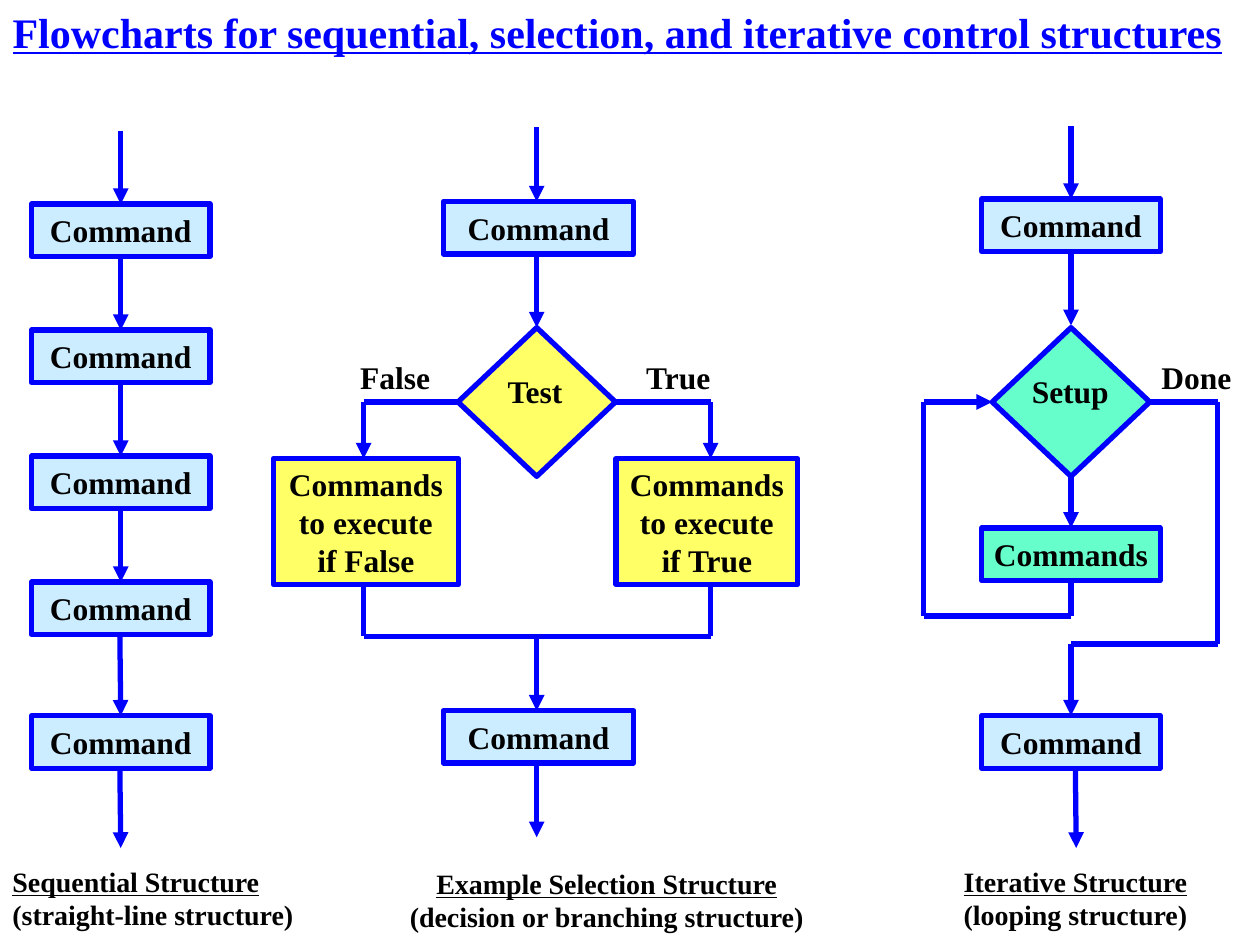
from typing import NamedTuple

from lxml.etree import SubElement
from pptx import Presentation
from pptx.dml.color import RGBColor
from pptx.enum.shapes import MSO_CONNECTOR, MSO_SHAPE
from pptx.enum.text import MSO_ANCHOR as ANCHOR, MSO_AUTO_SIZE, PP_ALIGN as ALIGN
from pptx.oxml.ns import qn
from pptx.util import Pt

BLUE = RGBColor(0x00, 0x00, 0xFF)
BLACK = RGBColor(0x00, 0x00, 0x00)
PALE_BLUE = RGBColor(0xCC, 0xEC, 0xFF)
YELLOW = RGBColor(0xFF, 0xFF, 0x66)
GREEN = RGBColor(0x66, 0xFF, 0xCC)
FONT = "Times New Roman"
STROKE = 3

SEQ_X, SEL_X, ITER_X = 69, 306.7, 612  # centre lines of the three charts
BOX_H, STEP = 30, 72
TEST_Y, TEST_W, TEST_H = 187.2, 90, 85
BRANCH_Y = 229.7
LAST_Y = 409


class Box(NamedTuple):
    x: float
    y: float
    w: float
    h: float
    fill: RGBColor
    text: str = ""
    kind: int = MSO_SHAPE.RECTANGLE


class Line(NamedTuple):
    x1: float
    y1: float
    x2: float
    y2: float
    arrow: bool = True


class Label(NamedTuple):
    x: float
    y: float
    w: float
    text: str
    h: float = 28.8
    size: int = 18
    align: int = ALIGN.LEFT
    heading: bool = False  # underline the first line


def set_text(tf, text: str, size: int, align: int, anchor: int,
             color: RGBColor = BLACK, heading: bool = False) -> None:
    tf.word_wrap = False
    tf.auto_size = MSO_AUTO_SIZE.NONE
    tf.vertical_anchor = anchor
    tf.text = text
    for i, p in enumerate(tf.paragraphs):
        p.alignment = align
        p.font.name, p.font.size, p.font.bold = FONT, Pt(size), True
        p.font.color.rgb = color
        p.font.underline = heading and i == 0


def draw_box(shapes, box: Box) -> None:
    sp = shapes.add_shape(box.kind, Pt(box.x), Pt(box.y), Pt(box.w), Pt(box.h))
    sp.shadow.inherit = False
    sp.fill.solid()
    sp.fill.fore_color.rgb = box.fill
    sp.line.color.rgb = BLUE
    sp.line.width = Pt(STROKE)
    if box.text:
        set_text(sp.text_frame, box.text, 18, ALIGN.CENTER, ANCHOR.MIDDLE)


def draw_line(shapes, line: Line) -> None:
    cxn = shapes.add_connector(MSO_CONNECTOR.STRAIGHT, Pt(line.x1), Pt(line.y1),
                               Pt(line.x2), Pt(line.y2))
    cxn.line.color.rgb = BLUE
    cxn.line.width = Pt(STROKE)
    if line.arrow:
        SubElement(cxn.line._get_or_add_ln(), qn("a:tailEnd"), type="triangle")
    SubElement(cxn._element.spPr, qn("a:effectLst"))


def draw_label(shapes, label: Label) -> None:
    sp = shapes.add_textbox(Pt(label.x), Pt(label.y), Pt(label.w), Pt(label.h))
    set_text(sp.text_frame, label.text, label.size, label.align, ANCHOR.TOP,
             heading=label.heading)


def command(center: float, y: float, w: float = 102,
            text: str = "Command", fill: RGBColor = PALE_BLUE) -> Box:
    return Box(center - w / 2, y, w, BOX_H, fill, text)


def decision(center: float, fill: RGBColor) -> Box:
    return Box(center - TEST_W / 2, TEST_Y, TEST_W, TEST_H, fill, kind=MSO_SHAPE.DIAMOND)


def caption(x: float, y: float, w: float, text: str, align: int = ALIGN.LEFT) -> Label:
    return Label(x, y, w, text, 46, 16, align, True)


def sequential_parts() -> list:
    tops = [116.6 + STEP * i for i in range(4)]
    parts = [command(SEQ_X, y) for y in tops + [LAST_Y]]
    parts += [Line(SEQ_X, y + BOX_H - STEP, SEQ_X, y) for y in tops]
    return parts + [
        Line(SEQ_X - 0.5, tops[-1] + BOX_H, SEQ_X, LAST_Y),
        Line(SEQ_X - 0.5, LAST_Y + BOX_H, SEQ_X, 484.6),
        caption(0, 490.3, 176.4, "Sequential Structure\n(straight-line structure)"),
    ]


def selection_parts() -> list:
    left, right = SEL_X - TEST_W / 2, SEL_X + TEST_W / 2
    false_x, true_x = 207.8, 406.1
    box_y, box_h, join_y, end_y = 262.1, 72, 363.6, 406.1
    parts = [
        decision(SEL_X, YELLOW),
        command(SEL_X + 1, 115.2, 108.7),
        command(SEL_X + 1, end_y, 108.7),
        Box(156.2, box_y, 105.8, box_h, YELLOW, "Commands\nto execute\nif False"),
        Box(352.1, box_y, 103.7, box_h, YELLOW, "Commands\nto execute\nif True"),
    ]
    parts += [Line(SEL_X, y, SEL_X, y + 42.5) for y in (72.7, 144.7, join_y, 436)]
    for x, corner in ((false_x, left), (true_x, right)):
        parts += [
            Line(x, BRANCH_Y, corner, BRANCH_Y, False),
            Line(x, BRANCH_Y, x, box_y),
            Line(x, box_y + box_h, x, join_y, False),
        ]
    return parts + [
        Line(false_x, join_y, true_x, join_y, False),
        Label(283, 208.8, 47.5, "Test"),
        Label(198.7, 200.9, 54.7, "False"),
        Label(362.2, 200.9, 52.6, "True"),
        caption(226.1, 491.5, 241.2,
                "Example Selection Structure\n(decision or branching structure)", ALIGN.CENTER),
    ]


def iterative_parts() -> list:
    left, right = ITER_X - TEST_W / 2, ITER_X + TEST_W / 2
    loop_x, exit_x, loop_y, exit_y = 527.8, 695.9, 352, 368
    first_y, body_y = 113.8, 301.7
    return [
        command(ITER_X, first_y),
        command(ITER_X, body_y, text="Commands", fill=GREEN),
        command(ITER_X, LAST_Y),
        decision(ITER_X, GREEN),
        # Main path
        Line(ITER_X, 72, ITER_X, first_y),
        Line(ITER_X, first_y + BOX_H, ITER_X, 186),
        Line(ITER_X, TEST_Y + TEST_H, ITER_X, body_y),
        Line(ITER_X + 2.5, LAST_Y + BOX_H, ITER_X + 3, 484.6),
        # Loop back to the setup
        Line(ITER_X, body_y + BOX_H, ITER_X, loop_y, False),
        Line(loop_x, loop_y, ITER_X, loop_y, False),
        Line(loop_x, BRANCH_Y, loop_x, loop_y, False),
        Line(loop_x, BRANCH_Y, left, BRANCH_Y),
        # Exit when done
        Line(right, BRANCH_Y, exit_x, BRANCH_Y, False),
        Line(exit_x, BRANCH_Y, exit_x, exit_y, False),
        Line(ITER_X, exit_y, exit_x, exit_y, False),
        Line(ITER_X, exit_y, ITER_X, LAST_Y),
        Label(582.5, 208.8, 58.3, "Setup"),
        Label(656.6, 200.9, 54.7, "Done"),
        caption(543.6, 490.3, 143.3, "Iterative Structure\n(looping structure)"),
    ]


def main() -> None:
    prs = Presentation()
    prs.slide_width, prs.slide_height = Pt(720), Pt(540)
    s = prs.slides.add_slide(prs.slide_layouts[5])

    # Title
    title = s.shapes.title
    title.left, title.top, title.width, title.height = Pt(0), Pt(0), Pt(707), Pt(36)
    set_text(title.text_frame,
             "Flowcharts for sequential, selection, and iterative control structures",
             24, ALIGN.LEFT, ANCHOR.TOP, BLUE, heading=True)

    # Flowcharts
    draw = {Box: draw_box, Line: draw_line, Label: draw_label}
    for part in sequential_parts() + selection_parts() + iterative_parts():
        draw[type(part)](s.shapes, part)

    prs.save("out.pptx")


if __name__ == "__main__":
    main()
